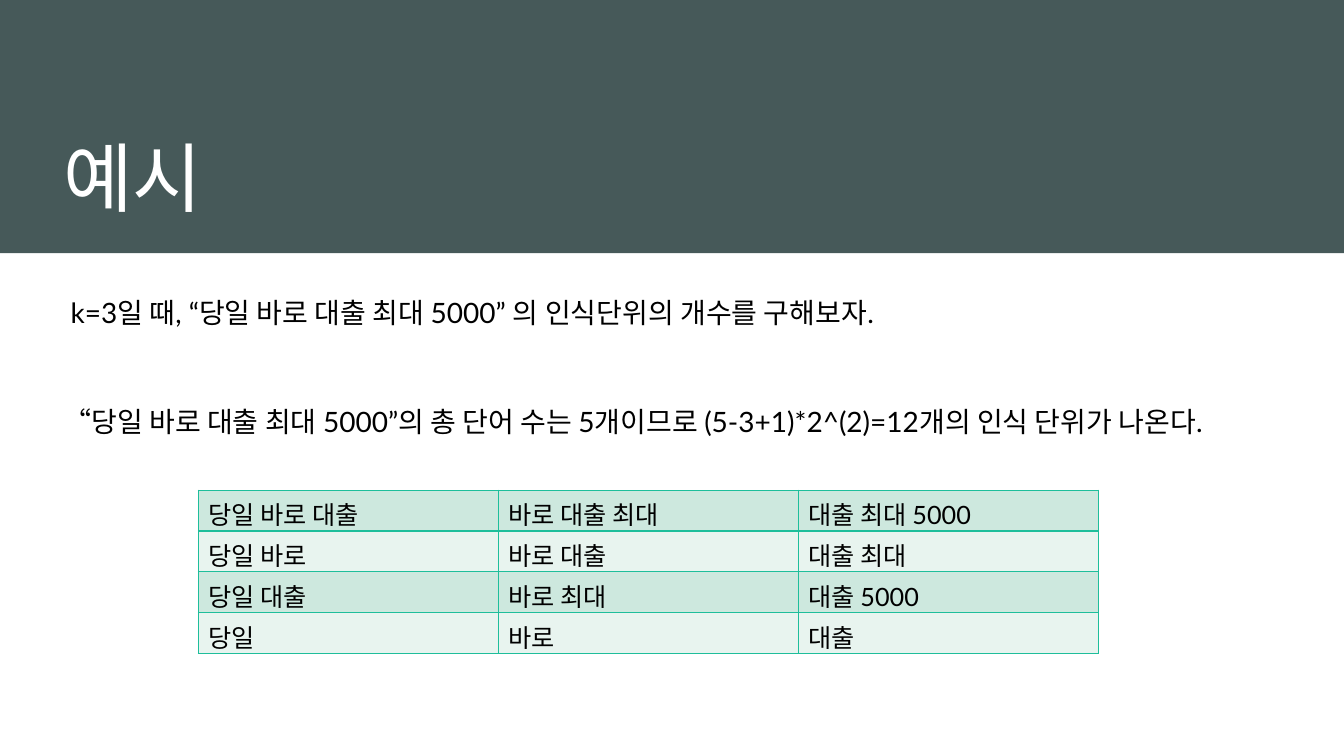
from lxml.etree import SubElement
from pptx import Presentation
from pptx.dml.color import RGBColor
from pptx.enum.shapes import MSO_SHAPE
from pptx.enum.text import MSO_ANCHOR
from pptx.oxml.ns import qn
from pptx.util import Cm, Pt

COLORS = {
    "banner": "465959",
    "title": "FFFFFF",
    "text": "000000",
    "border": "1EBE9B",
    "band_dark": "CDE8DE",
    "band_light": "E8F4EF",
}
ROWS = [
    ["당일 바로 대출", "바로 대출 최대", "대출 최대 5000"],
    ["당일 바로", "바로 대출", "대출 최대"],
    ["당일 대출", "바로 최대", "대출 5000"],
    ["당일", "바로", "대출"],
]


def rgb(name):
    return RGBColor.from_string(COLORS[name])


def write(p, text, size=20, font="Lato", color="text", before=0, spacing=1.0):
    p.space_before = Pt(before)
    p.line_spacing = spacing
    r = p.add_run()
    r.text = text
    r.font.size = Pt(size)
    r.font.name = font
    r.font.color.rgb = rgb(color)


class SlideBuilder:
    def __init__(self, slide):
        self.s = slide

    def banner(self, width, height):
        sp = self.s.shapes.add_shape(MSO_SHAPE.RECTANGLE, 0, 0, width, height)
        sp.shadow.inherit = False
        sp.fill.solid()
        sp.fill.fore_color.rgb = rgb("banner")
        sp.line.fill.background()

    def text(self, left, top, width, height, anchor=MSO_ANCHOR.TOP):
        sp = self.s.shapes.add_textbox(Cm(left), Cm(top), Cm(width), Cm(height))
        tf = sp.text_frame
        tf.word_wrap = True
        tf.vertical_anchor = anchor
        return tf

    def border(self, cell):
        pr = cell._tc.get_or_add_tcPr()
        for i, side in enumerate(("a:lnL", "a:lnR", "a:lnT", "a:lnB")):
            ln = pr.makeelement(qn(side), {"w": str(Pt(1))})
            fill = SubElement(ln, qn("a:solidFill"))
            SubElement(fill, qn("a:srgbClr"), val=COLORS["border"])
            pr.insert(i, ln)

    def table(self, rows, left, top, col_width, row_height):
        n_rows, n_cols = len(rows), len(rows[0])
        tbl = self.s.shapes.add_table(
            n_rows, n_cols, Cm(left), Cm(top),
            Cm(col_width * n_cols), Cm(row_height * n_rows),
        ).table
        tbl.first_row = False
        tbl.horz_banding = False
        for i, row in enumerate(rows):
            for j, text in enumerate(row):
                cell = tbl.cell(i, j)
                cell.fill.solid()
                cell.fill.fore_color.rgb = rgb("band_light" if i % 2 else "band_dark")
                self.border(cell)
                write(cell.text_frame.paragraphs[0], text, size=18)


def main():
    prs = Presentation()
    prs.slide_width, prs.slide_height = Cm(33.87), Cm(19.05)
    b = SlideBuilder(prs.slides.add_slide(prs.slide_layouts[6]))

    b.banner(prs.slide_width, Cm(6.38))
    tf = b.text(1.35, 1.02, 30.2, 4.7, anchor=MSO_ANCHOR.BOTTOM)
    write(tf.paragraphs[0], "예시", size=54, font="Arial", color="title")

    tf = b.text(1.35, 7.16, 30.2, 10)
    write(tf.paragraphs[0], " k=3일 때, “당일 바로 대출 최대 5000” 의 인식단위의 개수를 구해보자.",
          before=10, spacing=1.2)
    write(tf.add_paragraph(),
          "“당일 바로 대출 최대 5000”의 총 단어 수는 5개이므로 (5-3+1)*2^(2)=12개의 인식 단위가 나온다.",
          before=49, spacing=1.2)

    b.table(ROWS, 5, 12.35, 7.56, 1.03)
    prs.save("out.pptx")


if __name__ == "__main__":
    main()
